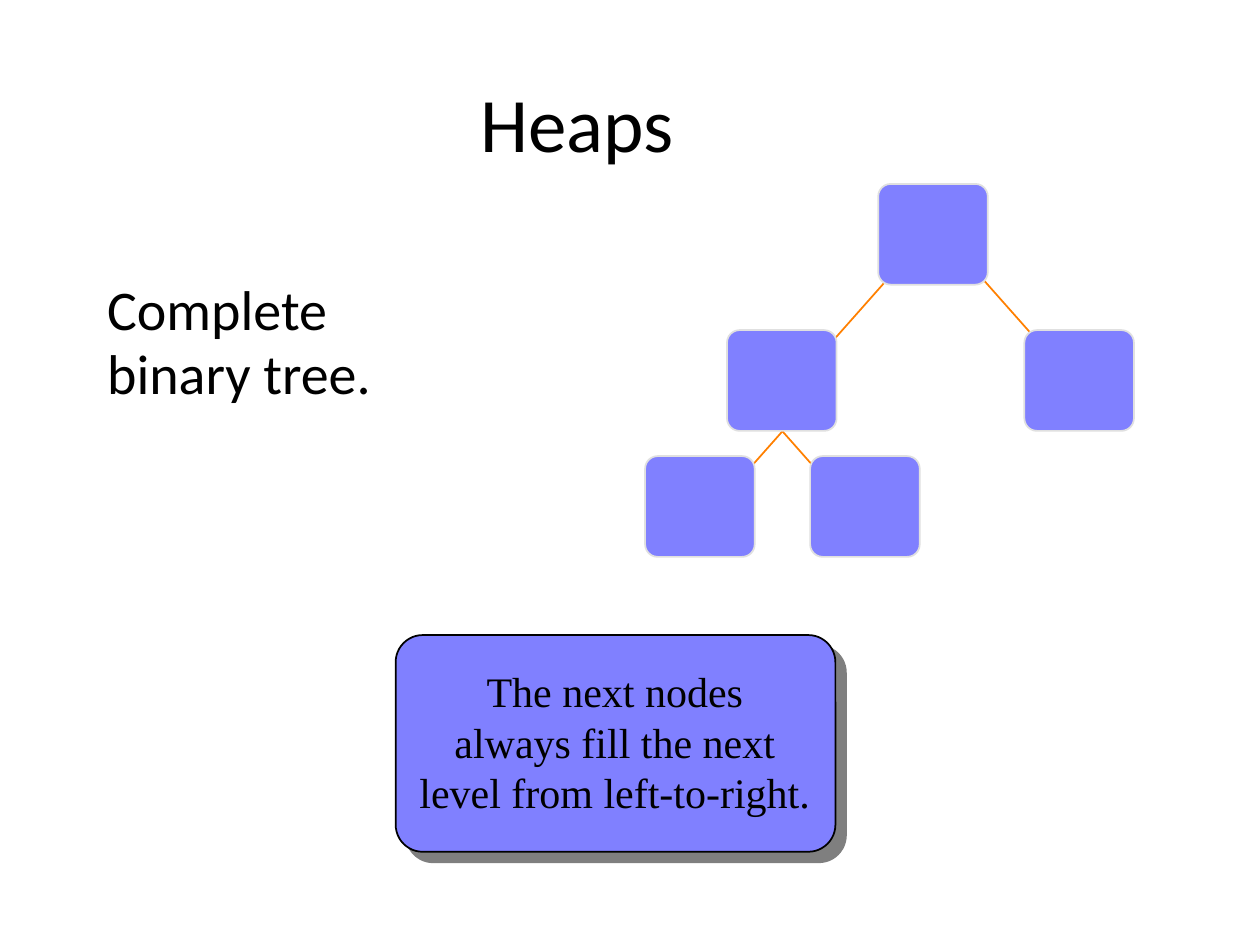
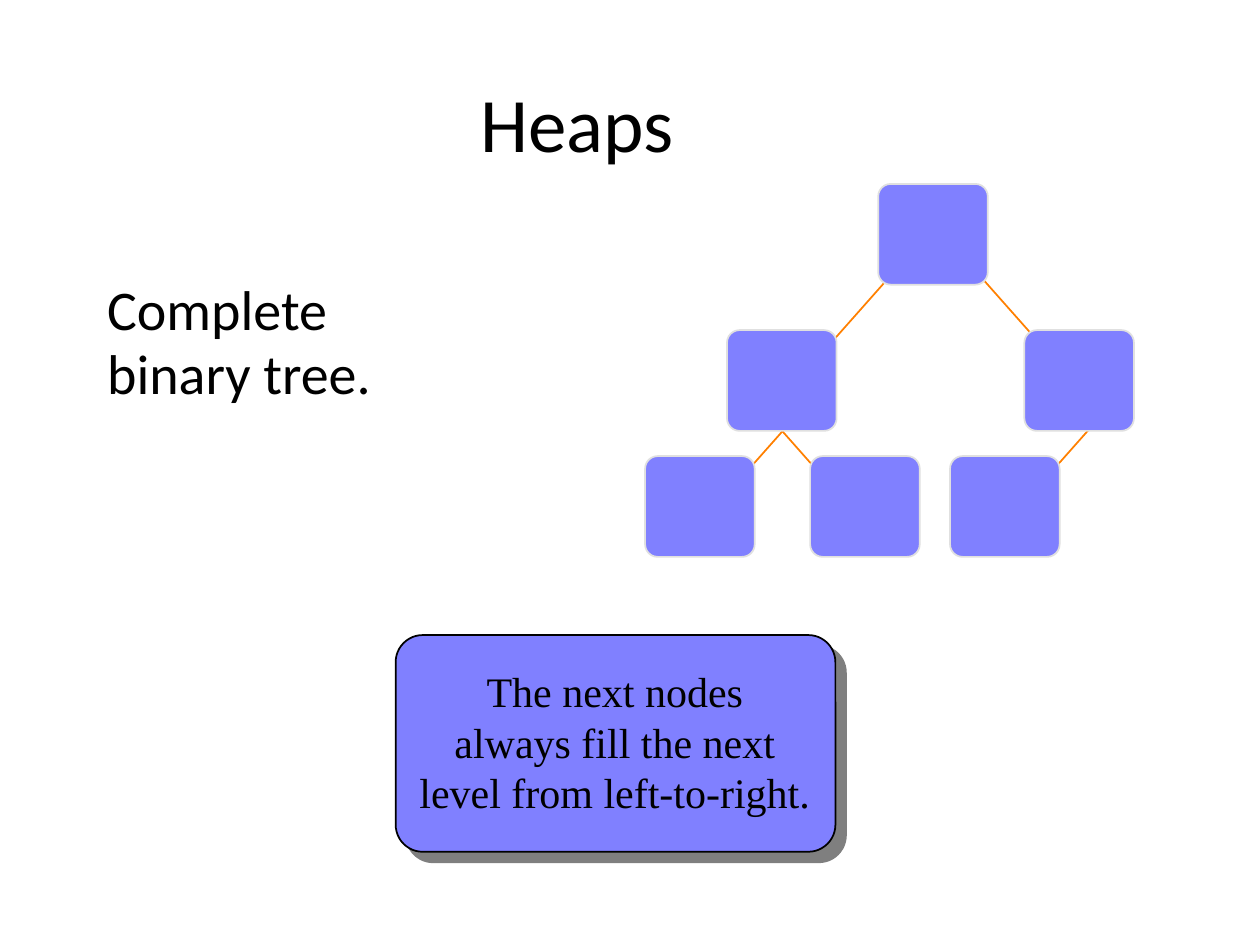
from collections import namedtuple

from lxml.etree import SubElement
from pptx import Presentation
from pptx.dml.color import RGBColor
from pptx.enum.shapes import MSO_CONNECTOR as Connector, MSO_SHAPE as Shape
from pptx.enum.text import MSO_ANCHOR as Anchor, MSO_AUTO_SIZE as AutoSize, PP_ALIGN as Align
from pptx.oxml.ns import qn
from pptx.util import Inches, Pt

COLORS = {
    "text": "000000",
    "node": "8080FF",
    "node_border": "E0E0E0",
    "edge": "FF8000",
    "shadow": "000000",
}
HEADING_FONT = "Calibri"
CALLOUT_FONT = "Times New Roman"

NODE_SIZE = (0.87, 0.8)
EDGE_RUN, EDGE_RISE = 0.62, 0.7

Node = namedtuple("Node", "left top")
Edge = namedtuple("Edge", "child end_x end_y direction")

ROOT = Node(6.97, 1.46)
LEFT_CHILD, RIGHT_CHILD = Node(5.77, 2.62), Node(8.13, 2.62)
LEAVES = [Node(5.12, 3.62), Node(6.43, 3.62), Node(7.54, 3.62)]
EDGES = [
    Edge(LEFT_CHILD, 0.65, 0.3, 1),
    Edge(RIGHT_CHILD, 0.25, 0.25, -1),
    Edge(LEAVES[0], 0.65, 0.3, 1),
    Edge(LEAVES[1], 0.22, 0.3, -1),
    Edge(LEAVES[2], 0.65, 0.3, 1),
]
CALLOUT_LINES = ["The next nodes", "always fill the next", "level from left-to-right."]


def color(name):
    return RGBColor.from_string(COLORS[name])


def place(shape, left, top, width, height):
    shape.left, shape.top = Inches(left), Inches(top)
    shape.width, shape.height = Inches(width), Inches(height)


def format_paragraph(para, font_name, size, align, spacing):
    para.alignment = align
    para.line_spacing = spacing
    para.space_before = Pt(0)
    for span in para.runs:
        span.font.name = font_name
        span.font.size = Pt(size)
        span.font.color.rgb = color("text")


def fill_placeholder(placeholder, bounds, text, size, align, anchor):
    place(placeholder, *bounds)
    frame = placeholder.text_frame
    frame.text = text
    frame.auto_size = AutoSize.NONE
    frame.vertical_anchor = anchor
    para = frame.paragraphs[0]
    properties = para._p.get_or_add_pPr()
    properties.set("marL", "0")
    properties.set("indent", "0")
    SubElement(properties, qn("a:buNone"))
    format_paragraph(para, HEADING_FONT, size, align, 0.95)


def add_rounded_box(page, bounds, border):
    box = page.shapes.add_shape(Shape.ROUNDED_RECTANGLE, *map(Inches, bounds))
    box.adjustments[0] = 0.125
    box.shadow.inherit = False
    box.fill.solid()
    box.fill.fore_color.rgb = color("node")
    box.line.color.rgb = color(border)
    box.line.width = Pt(1)
    return box


def add_edge(page, edge):
    end_x = edge.child.left + edge.end_x
    end_y = edge.child.top + edge.end_y
    start_x = end_x + edge.direction * EDGE_RUN
    line = page.shapes.add_connector(
        Connector.STRAIGHT, *map(Inches, (start_x, end_y - EDGE_RISE, end_x, end_y))
    )
    line.line.color.rgb = color("edge")
    line.line.width = Pt(1)
    SubElement(line._element.spPr, qn("a:effectLst"))


def add_tree(page, leaf_count):
    nodes = [ROOT, LEFT_CHILD, RIGHT_CHILD, *LEAVES[:leaf_count]]
    for edge in EDGES[:len(nodes) - 1]:
        add_edge(page, edge)
    for node in nodes:
        add_rounded_box(page, (*node, *NODE_SIZE), "node_border")


def add_drop_shadow(box):
    effects = box._element.spPr.find(qn("a:effectLst"))
    shadow = SubElement(effects, qn("a:outerShdw"), dist=str(Pt(8.5)),
                        dir=str(45 * 60000), algn="ctr", rotWithShape="0")
    tint = SubElement(shadow, qn("a:srgbClr"), val=COLORS["shadow"])
    SubElement(tint, qn("a:alpha"), val="50000")


def add_callout(page):
    add_drop_shadow(add_rounded_box(page, (3.14, 5.04, 3.49, 1.72), "text"))
    label = add_rounded_box(page, (3.21, 5.11, 3.34, 1.58), "text")
    label.adjustments[0] = 0
    label.fill.background()
    label.line.fill.background()
    frame = label.text_frame
    frame.word_wrap = True
    frame.vertical_anchor = Anchor.MIDDLE
    frame.text = "\n".join(CALLOUT_LINES)
    for para in frame.paragraphs:
        format_paragraph(para, CALLOUT_FONT, 24, Align.CENTER, 1.0)
    frame.paragraphs[0].line_spacing = 0.93


def add_heap_slide(deck, leaf_count):
    page = deck.slides.add_slide(deck.slide_layouts[1])
    fill_placeholder(page.shapes.title, (0.33, 0.38, 8.5, 1.25),
                     "Heaps", 44, Align.CENTER, Anchor.MIDDLE)
    fill_placeholder(page.placeholders[1], (0.75, 2.17, 2.9, 4.5),
                     "Complete binary tree.", 32, Align.LEFT, Anchor.TOP)
    add_callout(page)
    add_tree(page, leaf_count)


def main():
    deck = Presentation()
    deck.slide_width, deck.slide_height = Inches(10), Inches(7.5)
    for leaf_count in (2, 3):
        add_heap_slide(deck, leaf_count)
    deck.save("out.pptx")


if __name__ == "__main__":
    main()
